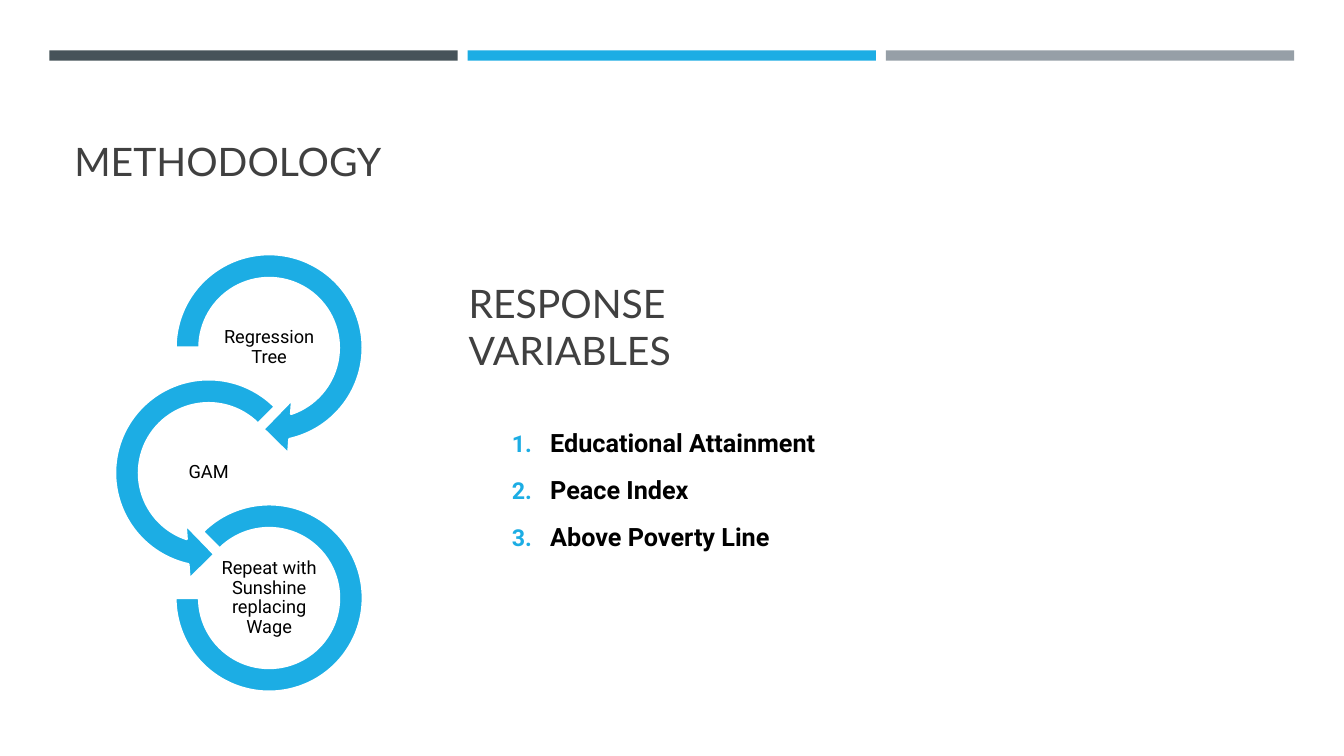
from lxml.etree import SubElement as Sub
from pptx import Presentation
from pptx.dml.color import RGBColor
from pptx.enum.shapes import MSO_SHAPE as Kind
from pptx.enum.text import MSO_ANCHOR as Anchor, PP_ALIGN as Align
from pptx.oxml.ns import qn
from pptx.util import Inches, Pt

SLATE = RGBColor(0x46, 0x53, 0x59)
BLUE = RGBColor(0x1C, 0xAD, 0xE4)
GREY = RGBColor(0x96, 0x9F, 0xA7)
DARK = RGBColor(0x40, 0x40, 0x40)
BLACK = RGBColor(0, 0, 0)
WHITE = RGBColor(255, 255, 255)
COLS, ROWS = 80, 45


class Deck:
    """Holds the style and the current slide; lengths are grid columns and rows."""

    head, body = "Lato", "Roboto"

    def __init__(self):
        self.show = Presentation()
        self.show.slide_width, self.show.slide_height = Inches(13.33), Inches(7.5)
        self.col = self.show.slide_width / COLS
        self.row = self.show.slide_height / ROWS
        self.slide = self.show.slides.add_slide(self.show.slide_layouts[6])

    def place(self, left, top, wide, high):
        return (round(left * self.col), round(top * self.row),
                round(wide * self.col), round(high * self.row))

    def shape(self, kind, box, fill, edge=None, adjust=()):
        item = self.slide.shapes.add_shape(kind, *self.place(*box))
        item.shadow.inherit = False
        item.fill.solid()
        item.fill.fore_color.rgb = fill
        if edge is None:
            item.line.fill.background()
        else:
            item.line.color.rgb = edge
            item.line.width = Pt(1.75)
        for i, value in enumerate(adjust):
            item.adjustments[i] = value

    def text(self, lines, box, font=body, size=13, color=BLACK, bold=False,
             anchor=Anchor.MIDDLE, align=Align.LEFT, space=1.0, inset=None,
             before=0, after=0, number=None):
        frame = self.slide.shapes.add_textbox(*self.place(*box)).text_frame
        frame.word_wrap = True
        frame.vertical_anchor = anchor
        if inset is not None:
            frame.margin_left = frame.margin_right = Inches(inset)
            frame.margin_top = frame.margin_bottom = Inches(inset)
        for i, line in enumerate(lines):
            para = frame.add_paragraph() if i else frame.paragraphs[0]
            para.alignment, para.line_spacing = align, space
            para.space_before, para.space_after = Pt(before), Pt(after)
            run = para.add_run()
            run.text = line
            run.font.name, run.font.size = font, Pt(size)
            run.font.bold, run.font.color.rgb = bold, color
            if number is not None:
                self.count(para, number)

    def count(self, para, color):
        """Number a paragraph with a hanging indent."""
        props = para._p.get_or_add_pPr()
        props.set("marL", str(Inches(0.38)))
        props.set("indent", str(-Inches(0.38)))
        Sub(Sub(props, qn("a:buClr")), qn("a:srgbClr"), val=str(color))
        Sub(props, qn("a:buSzPct"), val="92000")
        Sub(props, qn("a:buFont"), typeface="+mj-lt")
        Sub(props, qn("a:buAutoNum"), type="arabicPeriod")

    def title(self, line, box):
        self.text([line], box, font=self.head, size=28, color=DARK,
                  anchor=Anchor.BOTTOM)

    def step(self, line, mid, kind, size, adjust):
        """Draw a ring with its label, both centred on one point."""
        x, y = mid
        self.shape(kind, (x - size / 2, y - size / 2, size, size), BLUE,
                   edge=WHITE, adjust=adjust)
        wide, high = 7.2, 3.6
        self.text([line], (x - wide / 2, y - high / 2, wide, high),
                  align=Align.CENTER, space=0.9, inset=0.01)


def main():
    deck = Deck()

    # Bars along the top
    for i, color in enumerate((SLATE, BLUE, GREY)):
        deck.shape(Kind.RECTANGLE, (2.94 + 24.9 * i, 3, 24.3, 0.62), color)

    # Headings
    deck.title("METHODOLOGY", (3.84, 4.8, 72.36, 6.48))
    deck.title("RESPONSE VARIABLES", (27.3, 17.94, 24, 4.56))

    # Numbered response variables
    deck.text(["Educational Attainment", "Peace Index", "Above Poverty Line"],
              (29.88, 23.22, 30.9, 11.64), size=18, bold=True, space=1.1,
              before=4, after=6, number=BLUE)

    # Chain of method steps, zigzagging down
    steps = (
        ("Regression Tree", 16.02, Kind.CIRCULAR_ARROW, 12.96,
         (0.11, 11.42, 45, 108, 0.125)),
        ("GAM", 12.42, Kind.LEFT_CIRCULAR_ARROW, 12.96,
         (0.11, 11.42, 63, 189, 0.125)),
        ("Repeat with Sunshine replacing Wage", 16.02, Kind.BLOCK_ARC, 11.16,
         (135, 108, 0.127)),
    )
    for i, (line, x, kind, size, adjust) in enumerate(steps):
        deck.step(line, (x, 20.7 + 7.45 * i), kind, size, adjust)

    deck.show.save("out.pptx")


if __name__ == "__main__":
    main()
